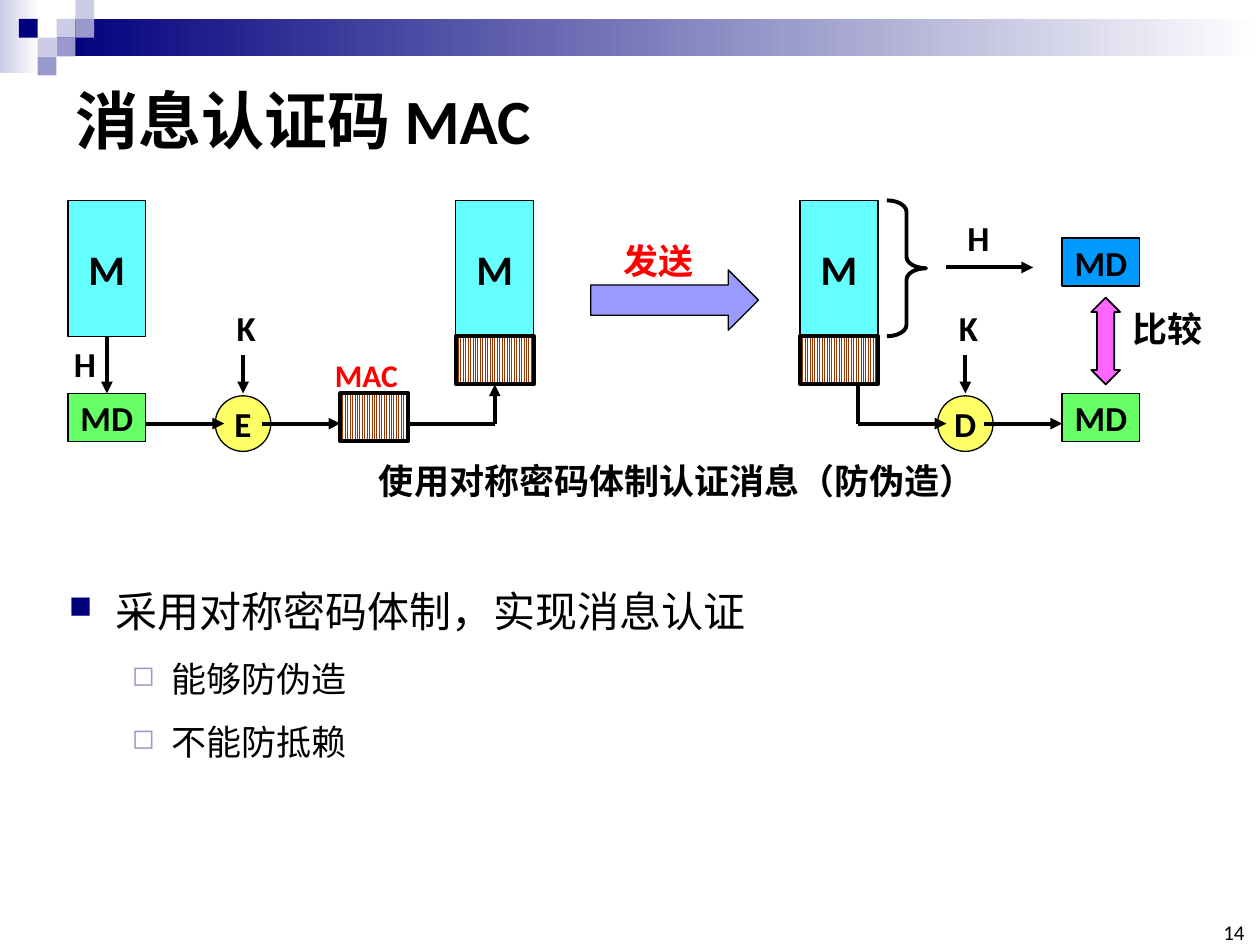
import pptx
import pptx.util
import pptx.dml.color
import pptx.enum.dml
import pptx.enum.shapes
import pptx.enum.text
import pptx.oxml.ns
from lxml import etree

Cm, Pt = pptx.util.Cm, pptx.util.Pt
RGB = pptx.dml.color.RGBColor
SHAPE = pptx.enum.shapes.MSO_SHAPE
ALIGN = pptx.enum.text.PP_ALIGN
ANCHOR = pptx.enum.text.MSO_ANCHOR
qn = pptx.oxml.ns.qn

BLACK, WHITE, RED = RGB(0, 0, 0), RGB(255, 255, 255), RGB(255, 0, 0)
NAVY, LILAC, MAUVE = RGB(0, 0, 0x7D), RGB(0xCC, 0xCC, 0xE6), RGB(0x99, 0x99, 0xCC)
CYAN, GREEN, BLUE = RGB(0x66, 0xFF, 0xFF), RGB(0x66, 0xFF, 0x66), RGB(0, 0x99, 0xFF)
YELLOW, PINK = RGB(0xFF, 0xFF, 0x66), RGB(0xFF, 0x66, 0xFF)
PERIWINKLE, BROWN = RGB(0x99, 0x99, 0xFF), RGB(0x99, 0x33, 0)

# Shared diagram measures, in cm
BLOCK_W, MSG_H, TAG_H = 1.57, 2.74, 0.97
MD_Y, FLOW_Y, TAG_BOTTOM = 3.89, 4.5, 3.71
CIRCLE, PORT = 1.12, 0.38


def add_run(p, text, size, bold=False, color=BLACK):
    r = p.add_run()
    r.text = text
    for name, value in dict(name="Calibri", size=Pt(size), bold=bold).items():
        setattr(r.font, name, value)
    r.font.color.rgb = color


def add_label(slide, x, y, w, h, text, size=20, bold=True, color=BLACK,
              align=ALIGN.LEFT, **frame):
    tf = slide.shapes.add_textbox(Cm(x), Cm(y), Cm(w), Cm(h)).text_frame
    for name, value in {"word_wrap": False, **frame}.items():
        setattr(tf, name, value)
    tf.paragraphs[0].alignment = align
    add_run(tf.paragraphs[0], text, size, bold, color)


def add_block(slide, kind, x, y, w, h, fill=None, line=0.75, text="", size=20):
    sp = slide.shapes.add_shape(kind, Cm(x), Cm(y), Cm(w), Cm(h))
    sp.shadow.inherit = False
    if fill is None:
        sp.fill.background()
    else:
        sp.fill.solid()
        sp.fill.fore_color.rgb = fill
    if line:
        sp.line.color.rgb = BLACK
        sp.line.width = Pt(line)
    else:
        sp.line.fill.background()
    if text:
        tf = sp.text_frame
        tf.word_wrap = False
        tf.vertical_anchor = ANCHOR.MIDDLE
        tf.paragraphs[0].alignment = ALIGN.CENTER
        add_run(tf.paragraphs[0], text, size, True)
    return sp


def add_gradient(slide, x, y, w, h, start):
    sp = add_block(slide, SHAPE.RECTANGLE, x, y, w, h, start, 0)
    sp.fill.gradient()
    sp.fill.gradient_angle = 0
    for stop, color, position in zip(sp.fill.gradient_stops, (start, WHITE), (0, 1)):
        stop.color.rgb = color
        stop.position = position


def add_line(slide, x1, y1, x2, y2, arrow=True):
    cxn = slide.shapes.add_connector(pptx.enum.shapes.MSO_CONNECTOR.STRAIGHT,
                                     Cm(x1), Cm(y1), Cm(x2), Cm(y2))
    cxn.line.color.rgb = BLACK
    cxn.line.width = Pt(2.25)
    if arrow:
        etree.SubElement(cxn.line._get_or_add_ln(), qn("a:tailEnd"), type="triangle")
    etree.SubElement(cxn._element.spPr, qn("a:effectLst"))
    return cxn


def add_tag(slide, x, y, w):
    """Striped block that stands for the authentication code."""
    sp = add_block(slide, SHAPE.RECTANGLE, x, y, w, TAG_H, WHITE, 2.25)
    sp.fill.patterned()
    sp.fill.pattern = pptx.enum.dml.MSO_PATTERN.LIGHT_VERTICAL
    sp.fill.fore_color.rgb = BROWN
    sp.fill.back_color.rgb = WHITE
    return sp


def add_message(slide, x, y):
    return add_block(slide, SHAPE.RECTANGLE, x, y, BLOCK_W, MSG_H, CYAN, text="M", size=24)


def add_tagged_message(slide, x, y):
    add_message(slide, x, y)
    return add_tag(slide, x, y + MSG_H, BLOCK_W)


def add_digest(slide, x, y, fill):
    return add_block(slide, SHAPE.RECTANGLE, x, y, BLOCK_W, TAG_H, fill, text="MD")


def add_cipher(slide, cx, y, text, x_in, x_out):
    """Keyed cipher centred on cx, with flow from x_in and on to x_out."""
    add_block(slide, SHAPE.OVAL, cx - CIRCLE / 2, y + 3.94, CIRCLE, CIRCLE, YELLOW, text=text)
    add_label(slide, cx - 0.38, y + 2.01, 0.91, 1.12, "K")
    add_line(slide, cx, y + 3.12, cx, y + MD_Y)
    add_line(slide, x_in, y + FLOW_Y, cx - PORT, y + FLOW_Y)
    add_line(slide, cx + PORT, y + FLOW_Y, x_out, y + FLOW_Y)


def add_header(slide, unit):
    add_gradient(slide, 0, 0, 0.79, 1.47, LILAC)
    add_gradient(slide, 3 * unit, unit, 25.4 - 3 * unit, 2 * unit, NAVY)
    for col, row, color in ((3, 1, LILAC), (4, 0, LILAC), (4, 1, MAUVE), (2, 2, LILAC),
                            (1, 1, NAVY), (3, 2, MAUVE), (2, 3, MAUVE)):
        add_block(slide, SHAPE.RECTANGLE, col * unit, row * unit, unit, unit, color, 0)


def add_sender(slide, x, y):
    message = add_message(slide, x, y)
    digest = add_digest(slide, x, y + MD_Y, GREEN)
    hashing = add_line(slide, x, y, x, y)
    hashing.begin_connect(message, 2)
    hashing.end_connect(digest, 0)
    add_label(slide, x - 0.13, y + MSG_H, 0.97, 1.12, "H")
    add_cipher(slide, x + 3.53, y, "E", x + BLOCK_W, x + 5.49)
    add_tag(slide, x + 5.49, y + MD_Y, 1.37)
    add_label(slide, x + 5.13, y + 3.02, 1.83, 1.04, "MAC", 18, color=RED)
    tag = add_tagged_message(slide, x + 7.82, y)
    corner = x + 7.82 + BLOCK_W / 2
    add_line(slide, x + 6.86, y + FLOW_Y, corner, y + FLOW_Y, False)
    add_line(slide, corner, y + FLOW_Y, corner, y + TAG_BOTTOM).end_connect(tag, 2)


def add_channel(slide, x, y):
    add_block(slide, SHAPE.RIGHT_ARROW, x, y + 0.74, 3.38, 1.22, PERIWINKLE)
    add_label(slide, x + 0.41, y, 1.93, 1.12, "发送", color=RED)


def add_receiver(slide, x, y):
    add_tagged_message(slide, x, y)
    brace = add_block(slide, SHAPE.RIGHT_BRACE, x + 1.75, y, 0.79, MSG_H, line=2.25)
    brace.adjustments[0] = 0.29
    add_label(slide, x + 3.12, y + 0.2, 0.97, 1.12, "H")
    add_line(slide, x + 2.95, y + 1.35, x + 4.7, y + 1.35)
    add_digest(slide, x + 5.28, y + 0.76, BLUE)
    add_digest(slide, x + 5.28, y + MD_Y, GREEN)
    compare = add_block(slide, SHAPE.UP_DOWN_ARROW, x + 5.87, y + 1.96, 0.58, 1.75, PINK, 1)
    compare.adjustments[1] = 0.6
    add_label(slide, x + 6.45, y + 2.03, 1.93, 1.12, "比较")
    add_line(slide, x + 1.17, y + FLOW_Y, x + 1.17, y + TAG_BOTTOM, False)
    add_cipher(slide, x + 3.33, y, "D", x + 1.17, x + 5.28)


def add_bullets(slide, x, y, w, h):
    tf = slide.shapes.add_textbox(Cm(x), Cm(y), Cm(w), Cm(h)).text_frame
    tf.word_wrap = True
    levels = (dict(size=24, margin=0.94, hang=0.94, char="■", color=NAVY, scale=75),
              dict(size=20, margin=2.06, hang=0.79, char="◻", color=MAUVE, scale=80))
    items = ((0, "采用对称密码体制，实现消息认证"), (1, "能够防伪造"), (1, "不能防抵赖"))
    for i, (level, text) in enumerate(items):
        style = levels[level]
        p = tf.add_paragraph() if i else tf.paragraphs[0]
        pPr = p._p.get_or_add_pPr()
        pPr.set("marL", str(Cm(style["margin"])))
        pPr.set("indent", str(-Cm(style["hang"])))
        clr = etree.SubElement(pPr, qn("a:buClr"))
        etree.SubElement(clr, qn("a:srgbClr"), val=str(style["color"]))
        etree.SubElement(pPr, qn("a:buSzPct"), val=str(style["scale"] * 1000))
        etree.SubElement(pPr, qn("a:buChar"), char=style["char"])
        for name, value in dict(level=level, alignment=ALIGN.JUSTIFY, line_spacing=1.5).items():
            setattr(p, name, value)
        add_run(p, text, style["size"])


def main():
    prs = pptx.Presentation()
    prs.slide_width, prs.slide_height = Cm(25.4), Cm(19.05)
    slide = prs.slides.add_slide(prs.slide_layouts[6])
    add_header(slide, 0.38)
    add_label(slide, 1.27, 1.27, 22.86, 2.26, "消息认证码 MAC", 36,
              word_wrap=True, vertical_anchor=ANCHOR.MIDDLE)
    add_sender(slide, 1.37, 4.04)
    add_channel(slide, 11.91, 4.7)
    add_receiver(slide, 16.13, 4.04)
    add_label(slide, 7.34, 9.14, 12.62, 1.12, "使用对称密码体制认证消息（防伪造）",
              align=ALIGN.CENTER)
    add_bullets(slide, 1.14, 11.18, 23.24, 4.98)
    add_label(slide, 24.51, 18.62, 0.58, 0.43, "14", 12, False, align=ALIGN.RIGHT,
              vertical_anchor=ANCHOR.BOTTOM, margin_left=0, margin_top=0,
              margin_right=0, margin_bottom=0)
    prs.save("out.pptx")


if __name__ == "__main__":
    main()
